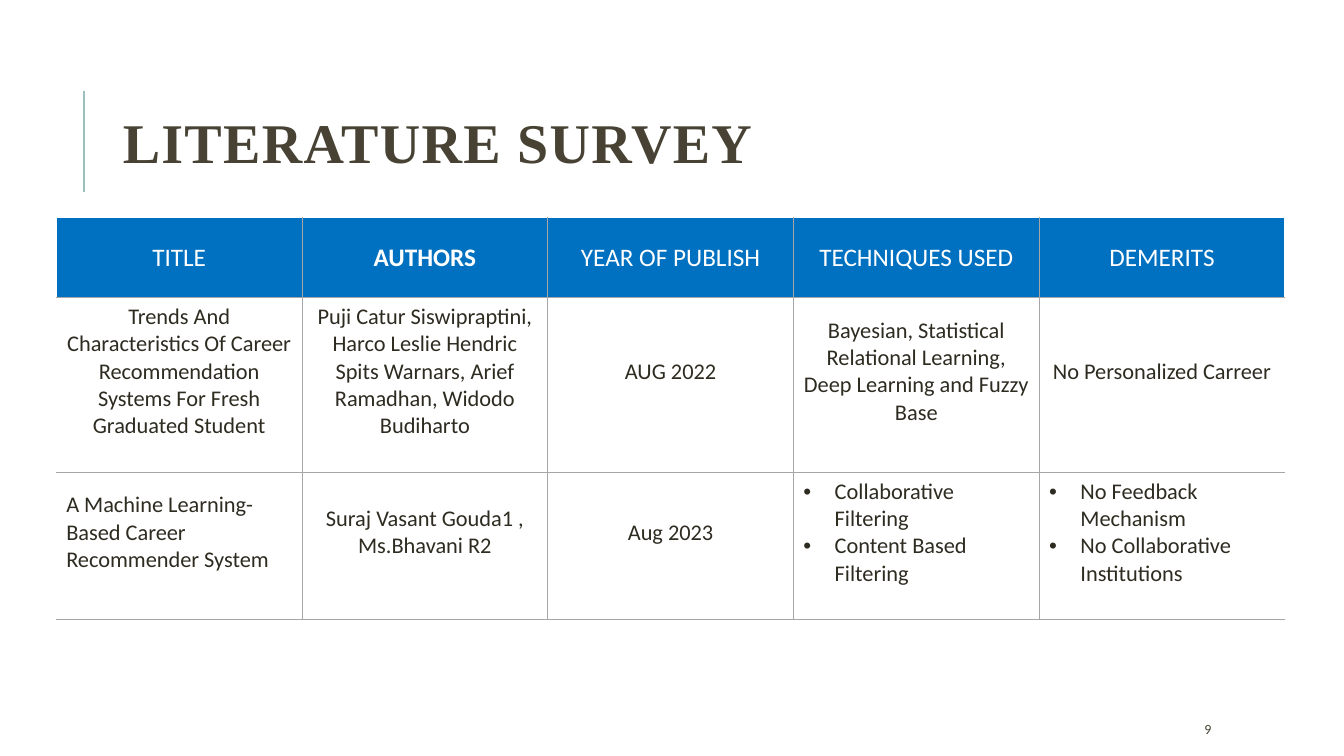
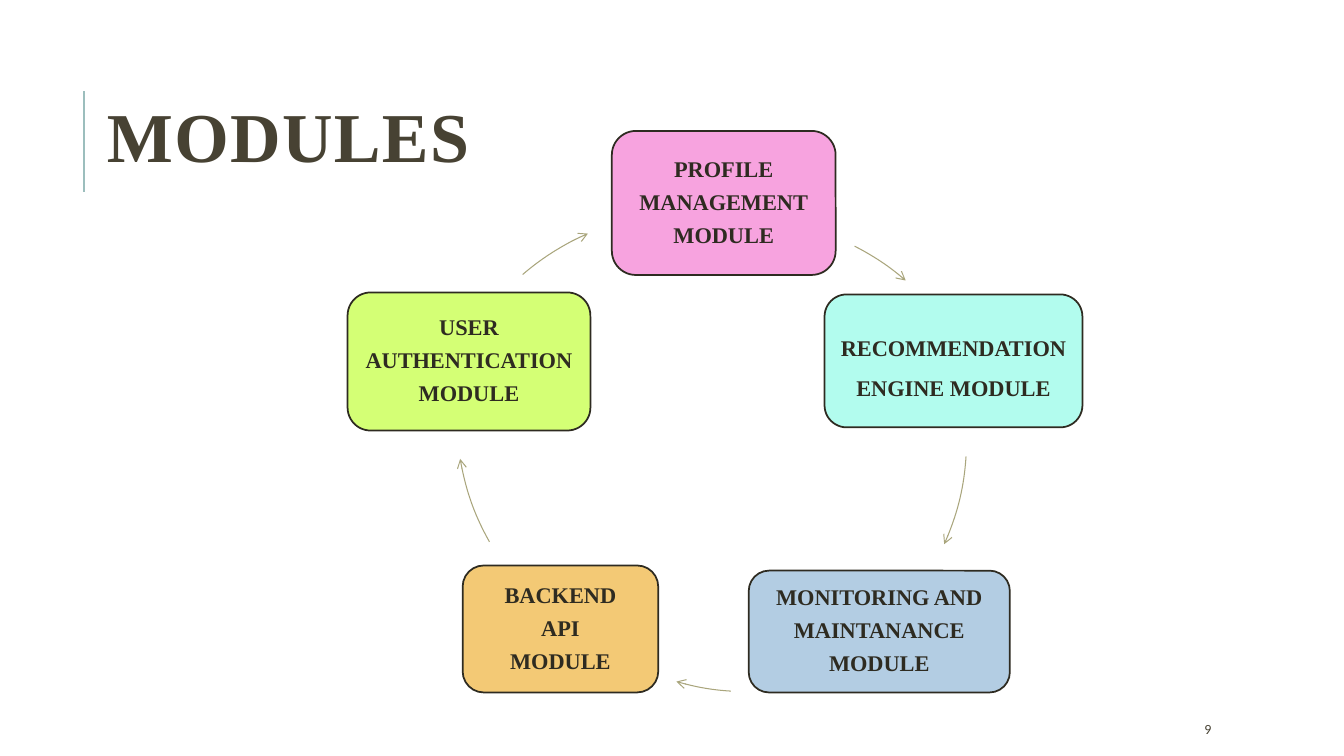
from lxml import etree
from pptx import Presentation
from pptx.dml.color import RGBColor
from pptx.enum import shapes, text
from pptx.oxml.ns import qn
from pptx.util import Cm, Pt

# Colours and fonts
WHITE = RGBColor(0xFF, 0xFF, 0xFF)
INK = RGBColor(0x2E, 0x2B, 0x21)
BROWN = RGBColor(0x47, 0x42, 0x33)
TEAL = RGBColor(0x9C, 0xBE, 0xBD)
BLUE = RGBColor(0x00, 0x70, 0xC0)
GREY = RGBColor(0xA6, 0xA6, 0xA6)
OLIVE = RGBColor(0xA9, 0xA5, 0x7C)
PINK = RGBColor(0xF7, 0xA3, 0xDF)
MINT = RGBColor(0xB2, 0xFC, 0xEE)
SKY = RGBColor(0xB3, 0xCD, 0xE3)
AMBER = RGBColor(0xF3, 0xC9, 0x75)
LIME = RGBColor(0xD4, 0xFF, 0x75)
SERIF, SANS = "Times New Roman", "Calibri"
LEFT, CENTER = text.PP_ALIGN.LEFT, text.PP_ALIGN.CENTER

# Content: a cell is a string, or a list of paragraphs
PAGE = "9"
SURVEY_TITLE = dict(words="LITERATURE SURVEY", size=40, box=(2.84, 1.63, 27, 4.17))
MODULES_TITLE = dict(words="MODULES", size=50, box=(2.44, 2.31, 30.96, 2.57))
SURVEY = [
    ["TITLE", "AUTHORS", "YEAR OF PUBLISH", "TECHNIQUES USED", "DEMERITS"],
    ["Trends And Characteristics Of Career Recommendation Systems For Fresh "
     "Graduated Student",
     "Puji Catur Siswipraptini, Harco Leslie Hendric Spits Warnars, "
     "Arief Ramadhan, Widodo Budiharto",
     "AUG 2022",
     "Bayesian, Statistical Relational Learning, Deep Learning and Fuzzy Base",
     "No Personalized Carreer"],
    [["A Machine Learning-Based Career", "Recommender System"],
     "Suraj Vasant Gouda1 , Ms.Bhavani R2",
     "Aug 2023",
     ["Collaborative Filtering", "Content Based Filtering"],
     ["No Feedback Mechanism", "No Collaborative Institutions"]],
]
TABLE_BOX = (1.42, 5.49, 30.96, 10.12)
ROW_HEIGHTS = (2, 4.42, 3.7)
BOLD_HEADER = "AUTHORS"

# Modules, clockwise: lines, fill, box, line spacing
MODULES = [
    (["PROFILE", "MANAGEMENT", "MODULE"], PINK, (15.42, 3.3, 5.64, 3.63), 0.9),
    (["RECOMMENDATION ENGINE MODULE"], MINT, (20.78, 7.42, 6.5, 3.35), 1.5),
    (["MONITORING AND", "MAINTANANCE", "MODULE"], SKY, (18.87, 14.38, 6.58, 3.07), 0.9),
    (["BACKEND", "API", "MODULE"], AMBER, (11.66, 14.25, 4.93, 3.2), 0.9),
    (["USER", "AUTHENTICATION", "MODULE"], LIME, (8.76, 7.37, 6.12, 3.48), 0.9),
]
# Arrows: left and top of the circle, start and end angle in degrees
CIRCLE = 12.83
ARROWS = [
    (12.22, 5.51, 296.9, 310.8),
    (11.53, 4.67, 3.75, 24.2),
    (12.42, 4.6, 93.7, 106.2),
    (11.51, 4.09, 150.6, 170.5),
    (10.95, 5.36, 229.2, 246.6),
]


def cm(values):
    return [Cm(v) for v in values]


def assign(obj, **values):
    for name, value in values.items():
        setattr(obj, name, value)


def write(tf, lines, color, size, font=SANS, bold=False, **para):
    for i, line in enumerate(lines):
        p = tf.paragraphs[0] if i == 0 else tf.add_paragraph()
        assign(p, **para)
        r = p.add_run()
        r.text = line
        assign(r.font, size=Pt(size), name=font, bold=bold)
        r.font.color.rgb = color


def stroke(sp, color, width):
    sp.line.color.rgb = color
    sp.line.width = Pt(width)


# Shared slide frame: title, rule, page number
def add_slide(prs, words, size, box):
    s = prs.slides.add_slide(prs.slide_layouts[5])
    rule = s.shapes.add_connector(shapes.MSO_CONNECTOR.STRAIGHT,
                                  *cm((2.11, 4.83, 2.11, 2.29)))
    stroke(rule, TEAL, 1.5)
    etree.SubElement(rule._element.spPr, qn("a:effectLst"))

    title = s.shapes.title
    assign(title, **dict(zip(("left", "top", "width", "height"), cm(box))))
    tf = title.text_frame
    assign(tf, word_wrap=True, auto_size=text.MSO_AUTO_SIZE.NONE,
           vertical_anchor=text.MSO_ANCHOR.MIDDLE)
    write(tf, [words], BROWN, size, SERIF, True, alignment=LEFT, line_spacing=0.8)
    tf.paragraphs[0].runs[0]._r.get_or_add_rPr().set("spc", "100")

    tf = s.shapes.add_textbox(*cm((30.1, 17.98, 2.69, 0.76))).text_frame
    assign(tf, word_wrap=True, vertical_anchor=text.MSO_ANCHOR.MIDDLE)
    write(tf, [PAGE], BROWN, 10)
    return s


# Table parts
def set_borders(cell, edges):
    tcPr = cell._tc.get_or_add_tcPr()
    for i, side in enumerate("LRTB"):
        outer = side in edges
        ln = etree.Element(qn(f"a:ln{side}"), w=str(Pt(1 if outer else 0.5)))
        fill = etree.SubElement(ln, qn("a:solidFill"))
        etree.SubElement(fill, qn("a:srgbClr"), val=str(WHITE if outer else GREY))
        tcPr.insert(i, ln)


def add_bullet(p):
    pPr = p._p.get_or_add_pPr()
    pPr.set("marL", str(Cm(0.79)))
    pPr.set("indent", str(-Cm(0.79)))
    etree.SubElement(pPr, qn("a:buFont"), typeface="Arial")
    etree.SubElement(pPr, qn("a:buChar"), char="•")


def fill_cell(cell, content, row, col, last_col):
    header, listed = row == 0, isinstance(content, list)
    assign(cell, vertical_anchor=text.MSO_ANCHOR.MIDDLE,
           margin_left=Cm(0.25), margin_right=Cm(0.25),
           margin_top=Cm(0.13), margin_bottom=Cm(0.13 if header else 0.81))
    write(cell.text_frame, content if listed else [content],
          WHITE if header else INK, 18 if header else 16,
          bold=content == BOLD_HEADER, alignment=LEFT if listed else CENTER)
    if listed and col > 0:
        for p in cell.text_frame.paragraphs:
            add_bullet(p)
    if header:
        cell.fill.solid()
        cell.fill.fore_color.rgb = BLUE
    else:
        cell.fill.background()
    set_borders(cell, ("T" if header else "") + ("L" if col == 0 else "")
                + ("R" if col == last_col else ""))


def add_survey(s):
    cols = len(SURVEY[0])
    table = s.shapes.add_table(len(SURVEY), cols, *cm(TABLE_BOX)).table
    assign(table, first_row=False, horz_banding=False)
    for column in table.columns:
        column.width = Cm(TABLE_BOX[2] / cols)
    for i, (height, row) in enumerate(zip(ROW_HEIGHTS, SURVEY)):
        table.rows[i].height = Cm(height)
        for j, content in enumerate(row):
            fill_cell(table.cell(i, j), content, i, j, cols - 1)


# Cycle parts
def add_module(s, lines, color, box, spacing):
    sp = s.shapes.add_shape(shapes.MSO_SHAPE.ROUNDED_RECTANGLE, *cm(box))
    sp.shadow.inherit = False
    sp.fill.solid()
    sp.fill.fore_color.rgb = color
    stroke(sp, INK, 1.25)
    tf = sp.text_frame
    assign(tf, word_wrap=True, vertical_anchor=text.MSO_ANCHOR.MIDDLE)
    assign(tf, **{f"margin_{side}": Cm(0.18)
                  for side in ("left", "right", "top", "bottom")})
    write(tf, lines, INK, 16, SERIF, True, alignment=CENTER,
          line_spacing=spacing, space_after=Pt(6.4))


def add_arrow(s, left, top, start, end):
    sp = s.shapes.add_shape(shapes.MSO_SHAPE.ARC, *cm((left, top, CIRCLE, CIRCLE)))
    sp.shadow.inherit = False
    sp.fill.background()
    stroke(sp, OLIVE, 0.75)
    # Arc adjustments count 0.6 per degree
    for i, angle in enumerate((start, end)):
        sp.adjustments[i] = angle * 0.6
    etree.SubElement(sp.line._get_or_add_ln(), qn("a:tailEnd"), type="arrow")


def main():
    prs = Presentation()
    assign(prs, slide_width=Cm(33.87), slide_height=Cm(19.05))
    add_survey(add_slide(prs, **SURVEY_TITLE))
    s = add_slide(prs, **MODULES_TITLE)
    for module, arrow in zip(MODULES, ARROWS):
        add_module(s, *module)
        add_arrow(s, *arrow)
    prs.save("out.pptx")


if __name__ == "__main__":
    main()
